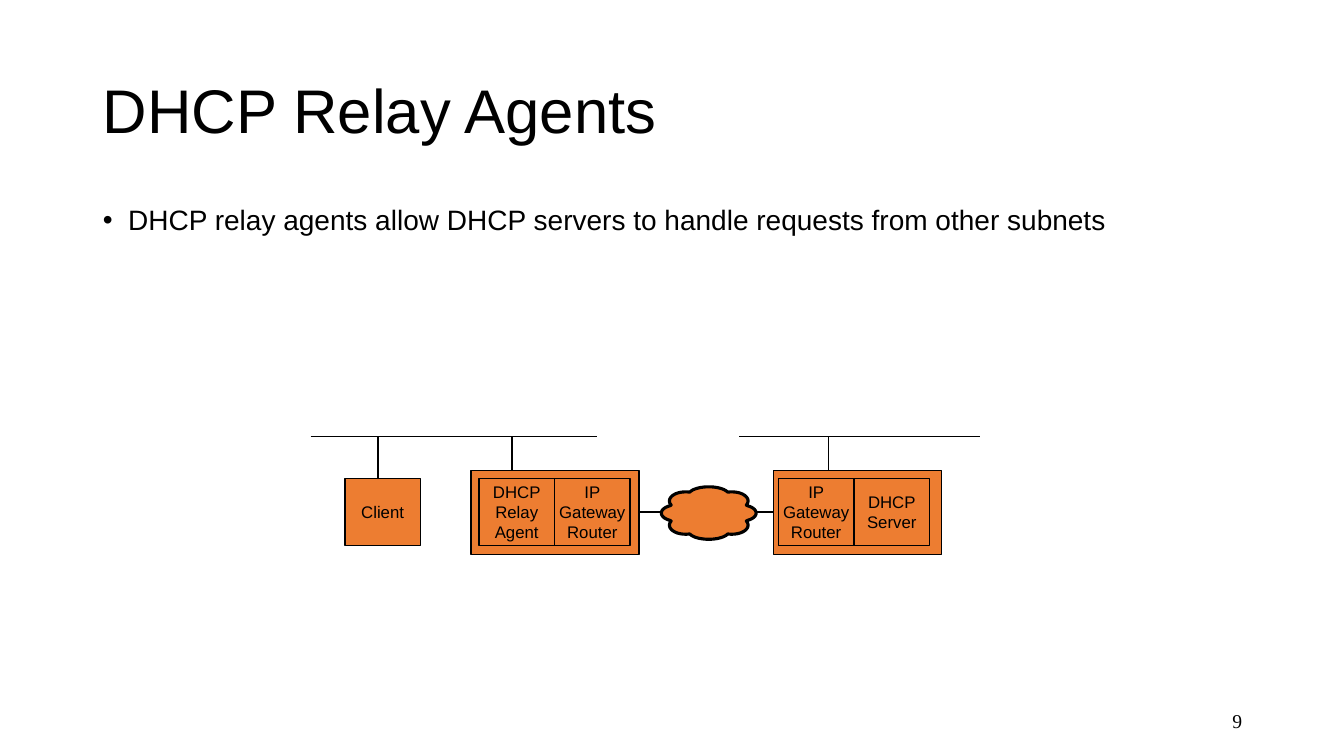
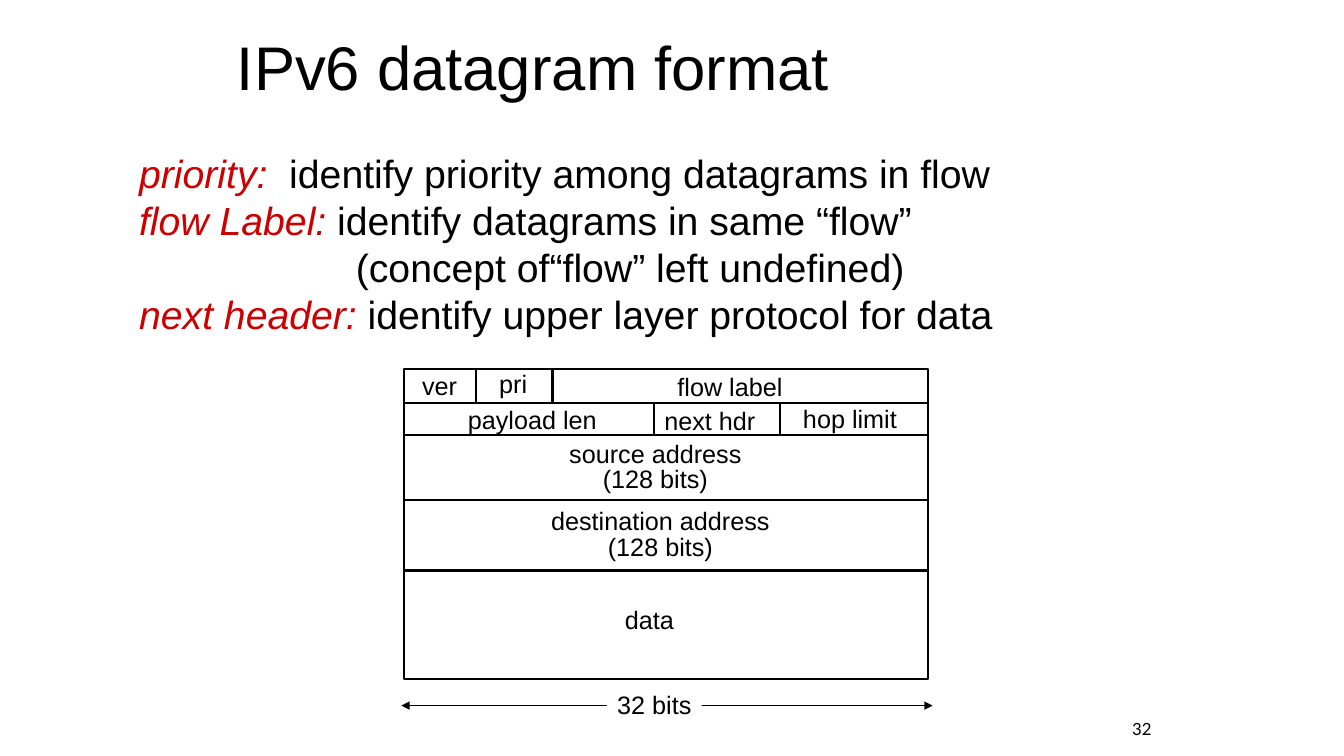
from math import cos, pi, sin, sqrt

from lxml import etree
from pptx import Presentation
from pptx.dml.color import RGBColor
from pptx.enum.shapes import MSO_CONNECTOR, MSO_SHAPE
from pptx.enum.text import MSO_ANCHOR as ANCHOR, MSO_AUTO_SIZE, PP_ALIGN as ALIGN
from pptx.oxml.ns import qn
from pptx.util import Inches, Pt

BLACK = RGBColor(0x00, 0x00, 0x00)
WHITE = RGBColor(0xFF, 0xFF, 0xFF)
ORANGE = RGBColor(0xED, 0x7D, 0x31)
RED = RGBColor(0xCC, 0x00, 0x00)
FONT = "Arial"


# Shared helpers
def place(sp, left, top, width, height):
    sp.left, sp.top = Inches(left), Inches(top)
    sp.width, sp.height = Inches(width), Inches(height)


def style_font(font, size, color=BLACK, name=FONT):
    font.name, font.size, font.color.rgb = name, Pt(size), color


def style_text(tf, size, align, anchor, wrap=False, name=FONT, spacing=None):
    tf.word_wrap, tf.vertical_anchor = wrap, anchor
    for p in tf.paragraphs:
        p.alignment = align
        if spacing:
            p.line_spacing = spacing
        for r in p.runs:
            style_font(r.font, size, name=name)


def set_bullet(p, char=None, left=0.0, hanging=0.0):
    pPr = p._p.get_or_add_pPr()
    pPr.set("marL", str(Inches(left)))
    pPr.set("indent", str(-Inches(hanging)))
    if char:
        etree.SubElement(pPr, qn("a:buFont")).set("typeface", FONT)
        etree.SubElement(pPr, qn("a:buChar")).set("char", char)
    else:
        etree.SubElement(pPr, qn("a:buNone"))


def add_label(slide, text, left, top, width, height, size, align=ALIGN.CENTER,
              anchor=ANCHOR.TOP, name=FONT, spacing=None):
    sp = slide.shapes.add_textbox(0, 0, 0, 0)
    place(sp, left, top, width, height)
    sp.text_frame.text = text
    style_text(sp.text_frame, size, align, anchor, name=name, spacing=spacing)
    return sp


def outline(sp, fill, width):
    sp.shadow.inherit = False
    sp.fill.solid()
    sp.fill.fore_color.rgb = fill
    sp.line.color.rgb, sp.line.width = BLACK, Pt(width)


def add_box(slide, left, top, width, height, fill, line_width, text=""):
    sp = slide.shapes.add_shape(MSO_SHAPE.RECTANGLE, 0, 0, 0, 0)
    place(sp, left, top, width, height)
    outline(sp, fill, line_width)
    if text:
        sp.text_frame.text = text
        style_text(sp.text_frame, 12, ALIGN.CENTER, ANCHOR.MIDDLE)


def add_line(slide, x1, y1, x2, y2, width=1.0, arrows=False):
    line = slide.shapes.add_connector(
        MSO_CONNECTOR.STRAIGHT, Inches(x1), Inches(y1), Inches(x2), Inches(y2))
    line.line.color.rgb, line.line.width = BLACK, Pt(width)
    if arrows:
        ln = line.line._get_or_add_ln()
        for end in ("a:headEnd", "a:tailEnd"):
            etree.SubElement(ln, qn(end)).set("type", "triangle")
    etree.SubElement(line._element.spPr, qn("a:effectLst"))


def add_slide(prs, title, title_box, body_box):
    """Add a titled slide and return it with its body text frame."""
    slide = prs.slides.add_slide(prs.slide_layouts[1])
    sp, body = slide.shapes.title, slide.placeholders[1]
    place(sp, *title_box)
    place(body, *body_box)
    sp.text_frame.text = title
    style_text(sp.text_frame, 44, ALIGN.LEFT, ANCHOR.MIDDLE, wrap=True, spacing=0.9)
    for tf in (sp.text_frame, body.text_frame):
        tf.auto_size = MSO_AUTO_SIZE.NONE
    return slide, body.text_frame


def add_page_number(slide, number, box, size, name):
    add_label(slide, number, *box, size, ALIGN.RIGHT, ANCHOR.MIDDLE, name)


# Relay network
def add_cloud(slide, cx, cy):
    """Outline the union of eight elliptical lobes around a centre."""
    lobes = [(0, y, 0.2, 0.08) for y in (-0.18, 0.18)]
    lobes += [(x, 0, 0.15, 0.08) for x in (-0.32, 0.32)]
    lobes += [(x, y, 0.16, 0.09) for x in (-0.23, 0.23) for y in (-0.12, 0.12)]
    steps = 240
    points = []
    for i in range(steps):
        dx, dy = cos(2 * pi * i / steps), sin(2 * pi * i / steps)
        reach = 0
        for x, y, a, b in lobes:
            qa = (dx / a) ** 2 + (dy / b) ** 2
            qb = x * dx / a ** 2 + y * dy / b ** 2
            disc = qb ** 2 - qa * ((x / a) ** 2 + (y / b) ** 2 - 1)
            if disc >= 0:
                reach = max(reach, (qb + sqrt(disc)) / qa)
        points.append((Inches(cx + reach * dx), Inches(cy + reach * dy)))
    builder = slide.shapes.build_freeform(*points[0])
    builder.add_line_segments(points[1:], close=True)
    outline(builder.convert_to_shape(), ORANGE, 2.25)


def add_network(slide, left, top):
    cell_w, cell_h, cell_top = 0.75, 0.66, top + 0.42
    gateway = "IP\nGateway\nRouter"

    # Subnets and their drops
    for start, end in ((0, 2.84), (4.25, 6.64)):
        add_line(slide, left + start, top, left + end, top)
    for x, drop in ((0.67, 0.42), (2, 0.34), (5.14, 0.34)):
        add_line(slide, left + x, top, left + x, top + drop)

    # Link between the gateways
    add_line(slide, left + 3.25, top + 0.75, left + 4.59, top + 0.75)
    add_cloud(slide, left + 3.95, top + 0.76)

    # Hosts
    add_box(slide, left + 0.34, cell_top, cell_w, cell_h, ORANGE, 1, "Client")
    hosts = ((1.59, 0.08, ("DHCP\nRelay\nAgent", gateway)),
             (4.59, 0.05, (gateway, "DHCP\nServer")))
    for x, inset, parts in hosts:
        add_box(slide, left + x, top + 0.34, 1.67, 0.83, ORANGE, 1)
        for i, text in enumerate(parts):
            add_box(slide, left + x + inset + i * cell_w, cell_top,
                    cell_w, cell_h, ORANGE, 1, text)


def relay_slide(prs):
    slide, tf = add_slide(prs, "DHCP Relay Agents",
                          (0.92, 0.4, 11.5, 1.45), (0.92, 2, 11.5, 4.76))
    tf.text = "DHCP relay agents allow DHCP servers to handle requests from other subnets"
    p = tf.paragraphs[0]
    p.space_before = Pt(0)
    p.line_spacing = 0.9
    set_bullet(p, "•", 0.25, 0.25)
    style_font(p.runs[0].font, 20)
    add_network(slide, 3.08, 4.33)
    add_page_number(slide, "9", (9.42, 6.95, 3, 0.4), 14, "Times New Roman")


# Datagram
def add_datagram(slide, left, top):
    width, rows = 5.19, (0, 0.34, 0.66, 1.3, 2, 3.08)
    add_box(slide, left, top, width, rows[-1], WHITE, 1.5)
    for y in rows[1:-1]:
        add_line(slide, left, top + y, left + width, top + y, 1.5)
    for x, row in ((0.71, 0), (1.47, 0), (2.48, 1), (3.73, 1)):
        add_line(slide, left + x, top + rows[row], left + x, top + rows[row + 1], 1.5)

    # Field names: text, centre, top
    fields = (("ver", 0.35, -0.04), ("pri", 1.08, -0.05), ("flow label", 3.23, -0.03),
              ("payload len", 1.27, 0.3), ("next hdr", 3.03, 0.31),
              ("hop limit", 4.42, 0.29), ("source address\n(128 bits)", 2.49, 0.68),
              ("destination address\n(128 bits)", 2.54, 1.35), ("data", 2.43, 2.29))
    for text, center, y in fields:
        two_lines = "\n" in text
        w = 2.4 if two_lines else 1.5
        add_label(slide, text, left + center - w / 2, top + y, w,
                  0.61 if two_lines else 0.4, 18, spacing=0.85 if two_lines else None)

    # Width scale
    add_line(slide, left - 0.03, top + 3.34, left + 5.24, top + 3.34, 0.75, arrows=True)
    scale = add_label(slide, "32 bits", left + 2.01, top + 3.13, 0.94, 0.4, 18)
    scale.fill.solid()
    scale.fill.fore_color.rgb = WHITE


def datagram_slide(prs):
    slide, tf = add_slide(prs, "IPv6 datagram format",
                          (2.25, 0.2, 8.5, 0.99), (1.28, 1.43, 9.78, 1.99))
    definitions = (("priority:", "  identify priority among datagrams in flow", 0),
                   ("flow Label:", " identify datagrams in same “flow”", 0),
                   ("", "(concept of“flow” left undefined)", 2.15),
                   ("next header:", " identify upper layer protocol for data", 0))
    for i, (term, meaning, indent) in enumerate(definitions):
        p = tf.add_paragraph() if i else tf.paragraphs[0]
        p.space_before = Pt(0)
        set_bullet(p, left=indent)
        for text, color in ((term, RED), (meaning, BLACK)):
            if text:
                r = p.add_run()
                r.text = text
                style_font(r.font, 28, color)
                r.font.italic = color == RED
    add_datagram(slide, 4.01, 3.66)
    add_page_number(slide, "32", (10.91, 7.08, 0.61, 0.3), 12, "Lato")


def main():
    prs = Presentation()
    prs.slide_width, prs.slide_height = Inches(13.33), Inches(7.5)
    relay_slide(prs)
    datagram_slide(prs)
    prs.save("out.pptx")


if __name__ == "__main__":
    main()
